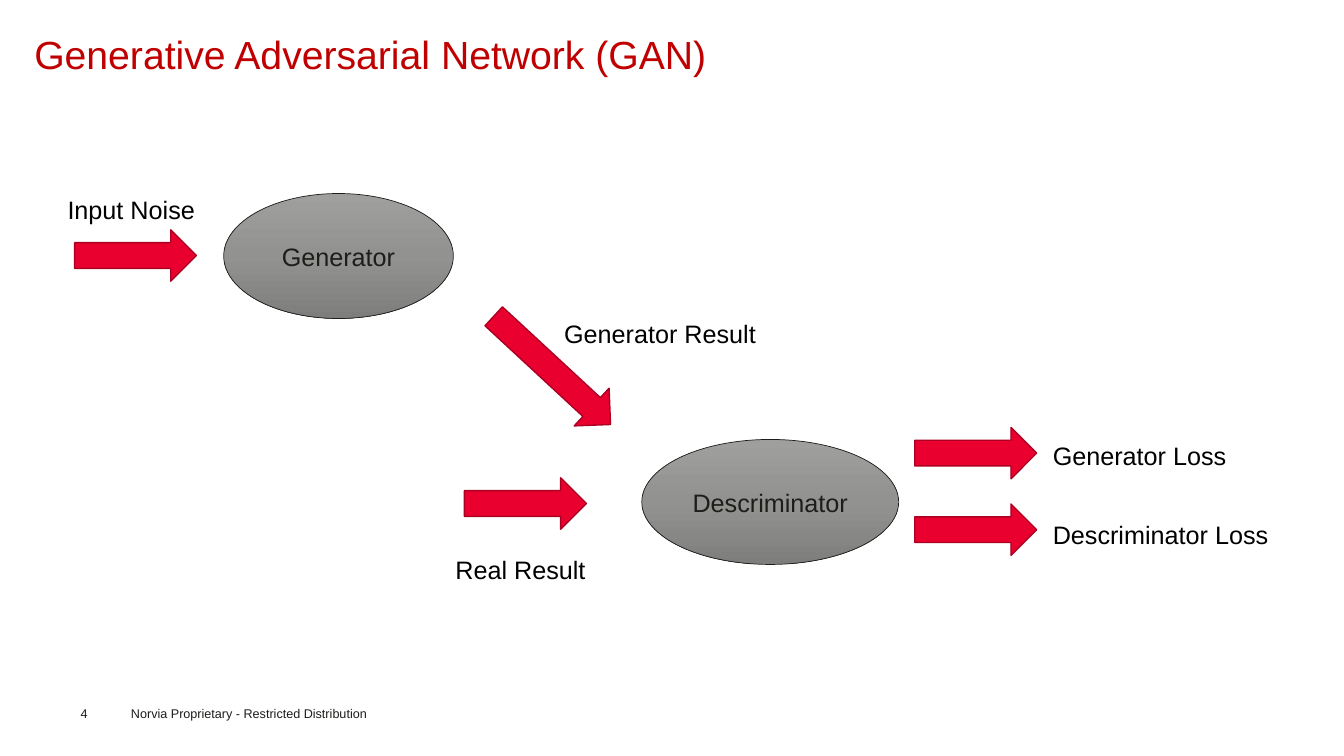
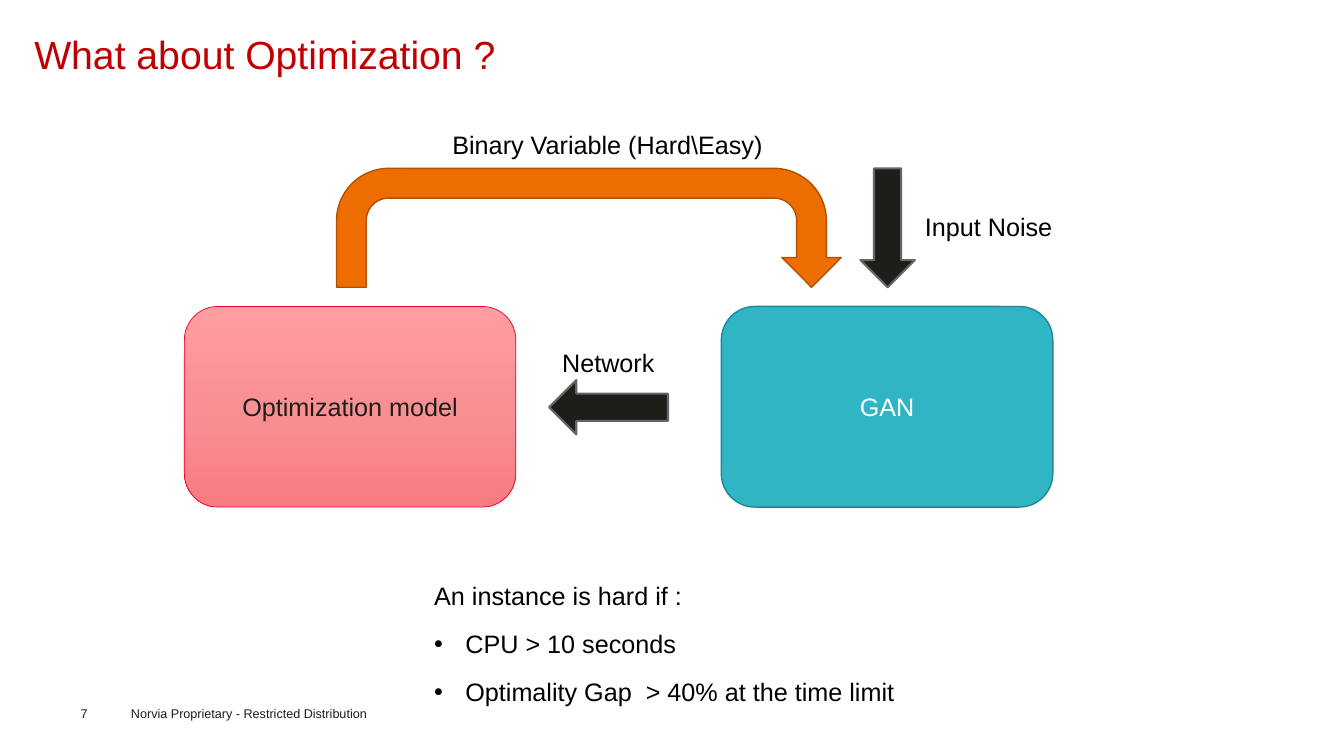
from copy import deepcopy
from dataclasses import dataclass
from typing import Any

from lxml.etree import SubElement
from pptx import Presentation
from pptx.dml.color import RGBColor
from pptx.enum.shapes import MSO_SHAPE
from pptx.enum.text import MSO_ANCHOR, MSO_AUTO_SIZE, PP_ALIGN
from pptx.oxml.ns import qn
from pptx.util import Inches, Pt

FONT = "Arial"
TITLE_RED, FOOTER_INK, INK, BLACK, WHITE = "C00000", "1D1D1B", "1D1D1A", "000000", "FFFFFF"
RED, RED_EDGE = "E9002F", "AC0023"
TEAL, TEAL_EDGE = "30B5C5", "248692"
ORANGE, ORANGE_EDGE, GREY_EDGE = "ED6D00", "AF5100", "666666"
GREYS = ("9F9F9E", "929291", "7E7E7D")
PINKS = ("FF9DA1", "F89094", "F77C81")
LINE_PITCH = Pt(34.4)
LABEL_HEIGHT = 0.48
FOOTER = "Norvia Proprietary - Restricted Distribution"


@dataclass
class Region:
    """An area of a page whose parts are placed from its top left corner."""
    page: Any
    left: float
    top: float

    def place(self, left, top, width, height):
        """Turn offsets in this region into lengths on the page."""
        return [Inches(n) for n in (self.left + left, self.top + top, width, height)]


def color(value):
    """Make a colour from a hex string."""
    return RGBColor.from_string(value)


def add_span(para, text, size, ink):
    """Add one formatted run to a paragraph."""
    span = para.add_run()
    span.text = text
    span.font.name = FONT
    span.font.size = Pt(size)
    span.font.color.rgb = color(ink)


def plain_frame(box, wrap):
    """Clear the margins of a text box and fix its size."""
    frame = box.text_frame
    frame.margin_left = frame.margin_right = frame.margin_top = frame.margin_bottom = 0
    frame.auto_size = MSO_AUTO_SIZE.NONE
    frame.vertical_anchor = MSO_ANCHOR.TOP
    frame.word_wrap = wrap
    return frame


def add_text(region, text, left, top, width, height=LABEL_HEIGHT, size=18, ink=BLACK, pitch=LINE_PITCH):
    """Add a one-line label."""
    box = region.page.shapes.add_textbox(*region.place(left, top, width, height))
    para = plain_frame(box, False).paragraphs[0]
    para.line_spacing = pitch
    add_span(para, text, size, ink)


def paint(shape, fill, edge, weight):
    """Fill a shape with one colour or a vertical gradient and outline it."""
    shape.shadow.inherit = False
    if isinstance(fill, str):
        shape.fill.solid()
        shape.fill.fore_color.rgb = color(fill)
    else:
        shape.fill.gradient()
        shape.fill.gradient_angle = 270
        stops = shape._element.spPr.find(qn("a:gradFill")).find(qn("a:gsLst"))
        stops.append(deepcopy(stops[0]))
        for stop, value, position in zip(shape.fill.gradient_stops, fill, (0, 0.5, 1)):
            stop.color.rgb = color(value)
            stop.position = position
    shape.line.color.rgb = color(edge)
    shape.line.width = Pt(weight)


def add_node(region, kind, text, place, fill, edge, weight=0.5, ink=INK):
    """Add a shape with a centred caption."""
    shape = region.page.shapes.add_shape(kind, *region.place(*place))
    paint(shape, fill, edge, weight)
    shape.text_frame.word_wrap = True
    shape.text_frame.vertical_anchor = MSO_ANCHOR.MIDDLE
    para = shape.text_frame.paragraphs[0]
    para.alignment = PP_ALIGN.CENTER
    add_span(para, text, 18, ink)


def add_arrow(region, left, top, width=1.21, height=0.51, turn=0, fill=RED, edge=RED_EDGE, weight=1):
    """Add a block arrow turned clockwise by the given degrees."""
    arrow = region.page.shapes.add_shape(
        MSO_SHAPE.RIGHT_ARROW, *region.place(left, top, width, height))
    paint(arrow, fill, edge, weight)
    arrow.rotation = turn


def add_page(deck, title, width, number):
    """Add a page with the shared title style and footer."""
    page = deck.slides.add_slide(deck.slide_layouts[5])
    whole = Region(page, 0, 0)
    box = page.shapes.title
    box.left, box.top, box.width, box.height = whole.place(0.34, 0.29, width, LABEL_HEIGHT)
    para = plain_frame(box, False).paragraphs[0]
    para.alignment = PP_ALIGN.LEFT
    para.line_spacing = LINE_PITCH
    add_span(para, title, 28, TITLE_RED)
    for text, left, span_width in ((FOOTER, 1.3, 2.41), (number, 0.8, 0.55)):
        add_text(whole, text, left, 7, span_width, 0.15, 9, FOOTER_INK, 1.0)
    return page


def add_network(region):
    """Draw the generator, the discriminator and the flows between them."""
    add_node(region, MSO_SHAPE.OVAL, "Generator", (1.55, 0.17, 2.28, 1.24), GREYS, INK)
    add_node(region, MSO_SHAPE.OVAL, "Descriminator", (5.7, 2.61, 2.55, 1.24), GREYS, INK)
    add_arrow(region, 0.07, 0.53)
    add_arrow(region, 4.02, 1.67, width=1.58, turn=42.8)
    add_arrow(region, 3.94, 2.99)
    add_text(region, "Input Noise", 0, 0, 1.28)
    add_text(region, "Generator Result", 4.93, 1.23, 1.92)
    add_text(region, "Real Result", 3.85, 3.57, 1.3)
    for row, (loss, width) in enumerate((("Generator Loss", 1.74), ("Descriminator Loss", 2.16))):
        add_arrow(region, 8.41, 2.49 + 0.76 * row)
        add_text(region, loss, 9.78, 2.44 + 0.78 * row, width)


def add_loop(region):
    """Draw the loop between the optimization model and the GAN."""
    size = (3.29, 1.99)
    add_node(region, MSO_SHAPE.ROUNDED_RECTANGLE, "Optimization model", (0, 1.94, *size), PINKS, RED)
    add_node(region, MSO_SHAPE.ROUNDED_RECTANGLE, "GAN", (5.33, 1.94, *size), TEAL, TEAL_EDGE, 1, WHITE)
    for left, top, turn in ((6.39, 0.89, 90), (3.62, 2.67, 180)):
        add_arrow(region, left, top, 1.18, 0.54, turn, INK, GREY_EDGE, 1.5)
    feedback = region.page.shapes.add_shape(
        MSO_SHAPE.U_TURN_ARROW, *region.place(1.51, 0.57, 5.01, 1.18))
    paint(feedback, ORANGE, ORANGE_EDGE, 1)
    for index, value in enumerate((0.25, 0.25, 0.25, 0.44, 1)):
        feedback.adjustments[index] = value
    add_text(region, "Binary Variable (Hard\\Easy)", 2.66, 0, 3.11)
    add_text(region, "Input Noise", 7.35, 0.82, 1.28)
    add_text(region, "Network", 3.75, 2.17, 0.93)


def add_criteria(region, heading, criteria):
    """Add a heading followed by bulleted criteria."""
    box = region.page.shapes.add_textbox(*region.place(0, 0, 4.87, 1.43))
    frame = plain_frame(box, True)
    para = frame.paragraphs[0]
    para.line_spacing = LINE_PITCH
    add_span(para, heading, 18, BLACK)
    for text in criteria:
        para = frame.add_paragraph()
        properties = para._p.get_or_add_pPr()
        properties.set("marL", str(Inches(0.31)))
        properties.set("indent", str(-Inches(0.31)))
        SubElement(properties, qn("a:buFont")).set("typeface", FONT)
        SubElement(properties, qn("a:buChar")).set("char", "•")
        para.line_spacing = LINE_PITCH
        add_span(para, text, 18, BLACK)


def main():
    """Build and save the deck."""
    deck = Presentation()
    deck.slide_width, deck.slide_height = Inches(13.34), Inches(7.5)
    page = add_page(deck, "Generative Adversarial Network (GAN)", 6.85, "4")
    add_network(Region(page, 0.67, 1.75))
    page = add_page(deck, "What about Optimization ?", 4.74, "7")
    add_loop(Region(page, 1.83, 1.1))
    add_criteria(Region(page, 4.31, 5.58), "An instance is hard if :",
                 ("CPU > 10 seconds", "Optimality Gap  > 40% at the time limit"))
    deck.save("out.pptx")


if __name__ == "__main__":
    main()
